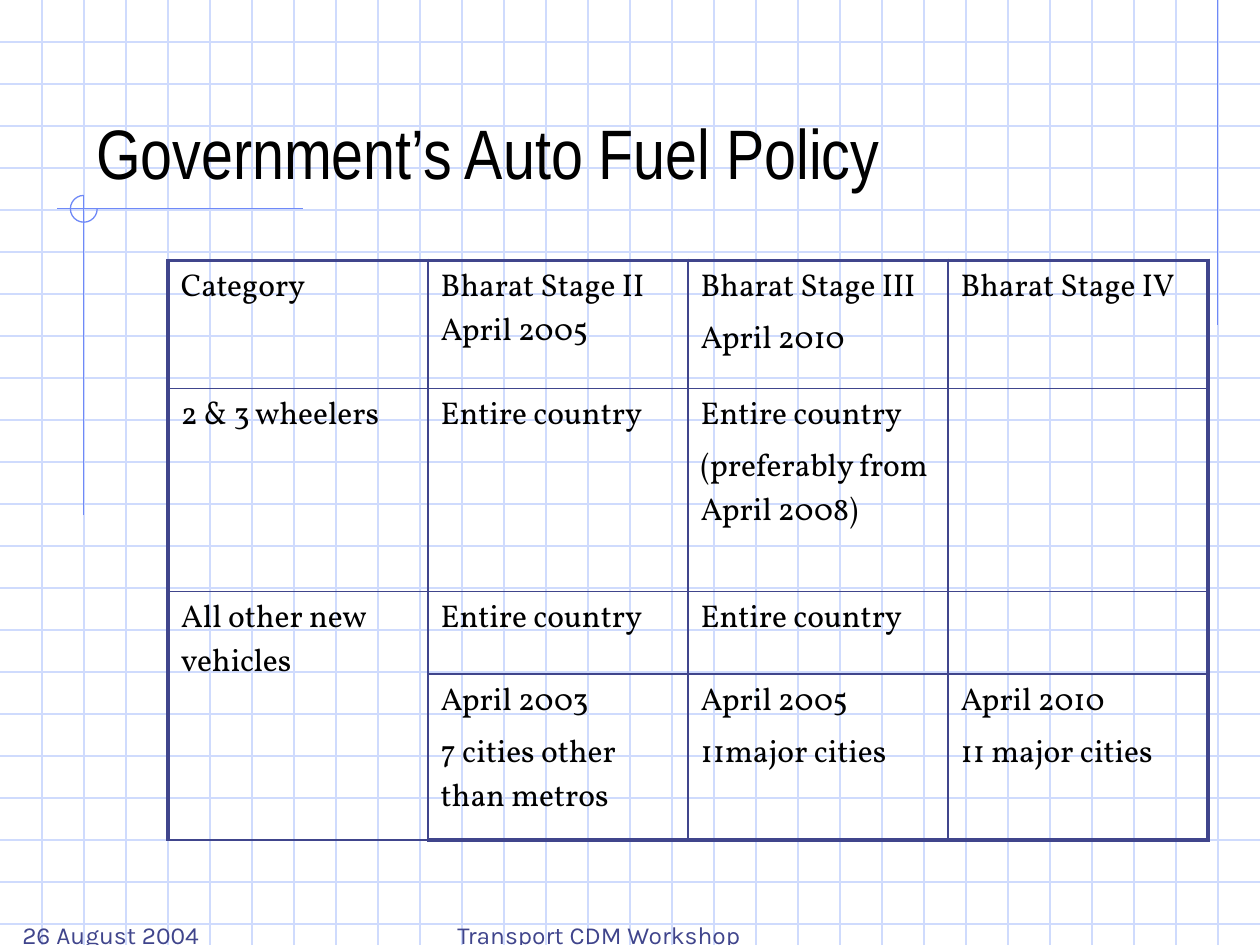
from dataclasses import dataclass

from lxml.etree import SubElement
from pptx import Presentation
from pptx.dml.color import RGBColor
from pptx.enum.shapes import MSO_CONNECTOR, MSO_SHAPE
from pptx.enum.text import MSO_ANCHOR, PP_ALIGN
from pptx.oxml.ns import qn
from pptx.util import Cm, Pt


@dataclass(frozen=True)
class Theme:
    grid: str = "CFDBFD"
    accent: str = "6F89F7"
    border: str = "40458C"
    text: str = "000000"
    title_font: str = "Arial Narrow"
    table_font: str = "Vollkorn"
    footer_font: str = "Karla"
    title_size: float = 40
    table_size: float = 18
    footer_size: float = 14
    thin: float = 0.74
    inner: float = 1
    outer: float = 2.25


@dataclass(frozen=True)
class Line:
    """A straight line; lengths in centimetres."""
    x1: float
    y1: float
    x2: float
    y2: float
    color: str


@dataclass(frozen=True)
class TextBox:
    """A text box; lengths in centimetres."""
    left: float
    top: float
    width: float
    height: float
    text: str
    font: str
    size: float
    color: str
    align: PP_ALIGN = PP_ALIGN.LEFT


THEME = Theme()
WIDTH, HEIGHT = 25.4, 19.05
GRID_STEP = WIDTH / 30

presentation = Presentation()
presentation.slide_width, presentation.slide_height = Cm(WIDTH), Cm(HEIGHT)
slide = presentation.slides.add_slide(presentation.slide_layouts[6])


def write_text(frame, paragraphs: list[str], *, font: str, size: float, color: str,
               align: PP_ALIGN = PP_ALIGN.LEFT, space_before: float = 0) -> None:
    for index, text in enumerate(paragraphs):
        paragraph = frame.paragraphs[0] if index == 0 else frame.add_paragraph()
        paragraph.alignment = align
        paragraph.space_before = Pt(space_before)
        run = paragraph.add_run()
        run.text = text
        run.font.name = font
        run.font.size = Pt(size)
        run.font.color.rgb = RGBColor.from_string(color)


def draw_line(line: Line) -> None:
    connector = slide.shapes.add_connector(
        MSO_CONNECTOR.STRAIGHT, Cm(line.x1), Cm(line.y1), Cm(line.x2), Cm(line.y2))
    connector.line.color.rgb = RGBColor.from_string(line.color)
    connector.line.width = Pt(THEME.thin)
    SubElement(connector._element.spPr, qn("a:effectLst"))


def draw_text_box(box: TextBox) -> None:
    shape = slide.shapes.add_textbox(Cm(box.left), Cm(box.top), Cm(box.width), Cm(box.height))
    frame = shape.text_frame
    frame.word_wrap = True
    frame.vertical_anchor = MSO_ANCHOR.BOTTOM
    write_text(frame, [box.text], font=box.font, size=box.size,
               color=box.color, align=box.align)


def set_borders(cell, widths: dict[str, float]) -> None:
    properties = cell._tc.get_or_add_tcPr()
    for position, (side, width) in enumerate(widths.items()):
        border = properties.makeelement(qn(f"a:{side}"), {"w": str(Pt(width))})
        fill = SubElement(border, qn("a:solidFill"))
        SubElement(fill, qn("a:srgbClr"), val=THEME.border)
        properties.insert(position, border)


def draw_table(left: float, top: float, column_width: float,
               row_heights: list[float], rows: list[list[list[str]]]) -> None:
    row_count, column_count = len(rows), len(rows[0])
    table = slide.shapes.add_table(
        row_count, column_count, Cm(left), Cm(top),
        Cm(column_width * column_count), Cm(sum(row_heights))).table
    table.first_row = table.horz_banding = False
    for column in table.columns:
        column.width = Cm(column_width)
    for r, (height, row) in enumerate(zip(row_heights, rows)):
        table.rows[r].height = Cm(height)
        for c, paragraphs in enumerate(row):
            cell = table.cell(r, c)
            cell.fill.background()
            write_text(cell.text_frame, paragraphs, font=THEME.table_font,
                       size=THEME.table_size, color=THEME.text, space_before=4.5)
            on_edge = {"lnL": c == 0, "lnR": c == column_count - 1,
                       "lnT": r == 0, "lnB": r == row_count - 1}
            set_borders(cell, {side: THEME.outer if edge else THEME.inner
                               for side, edge in on_edge.items()})
    # The last category covers two rows
    table.cell(row_count - 2, 0).merge(table.cell(row_count - 1, 0))


# Background grid
for step in range(1, 23):
    draw_line(Line(0, step * GRID_STEP, WIDTH, step * GRID_STEP, THEME.grid))
for step in range(1, 30):
    draw_line(Line(step * GRID_STEP, 0, step * GRID_STEP, HEIGHT, THEME.grid))

# Accent lines and three-quarter circle
for accent_line in (
    Line(24.55, 0, 24.55, 6.55, THEME.accent),
    Line(6.1, 4.21, 1.14, 4.21, THEME.accent),
    Line(1.69, 3.94, 1.69, 10.39, THEME.accent),
):
    draw_line(accent_line)
arc = slide.shapes.add_shape(MSO_SHAPE.ARC, Cm(1.42), Cm(3.94), Cm(0.54), Cm(0.54))
arc.adjustments[0], arc.adjustments[1] = 0, 162  # 0 to 270 degrees
arc.shadow.inherit = False
arc.fill.background()
arc.line.color.rgb = RGBColor.from_string(THEME.accent)
arc.line.width = Pt(THEME.thin)

# Title
draw_text_box(TextBox(1.69, 0.85, 21.59, 3.17, "Government’s Auto Fuel Policy",
                      THEME.title_font, THEME.title_size, THEME.text))

# Policy table
draw_table(3.39, 5.25, 5.24, [2.58, 4.09, 1.67, 3.34], [
    [["Category"], ["Bharat Stage II April 2005"],
     ["Bharat Stage III", "April 2010"], ["Bharat Stage IV"]],
    [["2 & 3 wheelers"], ["Entire country"],
     ["Entire country", "(preferably from April 2008)"], []],
    [["All other new vehicles"], ["Entire country"], ["Entire country"], []],
    [[], ["April 2003", "7 cities other than metros"],
     ["April 2005", "11major cities"], ["April 2010", "11 major cities"]],
])

# Footer
footer_format = (THEME.footer_font, THEME.footer_size, THEME.border)
draw_text_box(TextBox(8.05, 17.99, 8.05, 1.27, "Transport CDM Workshop",
                      *footer_format, PP_ALIGN.CENTER))
draw_text_box(TextBox(0.2, 17.99, 5.29, 1.27, "26 August 2004", *footer_format))

presentation.save("out.pptx")
